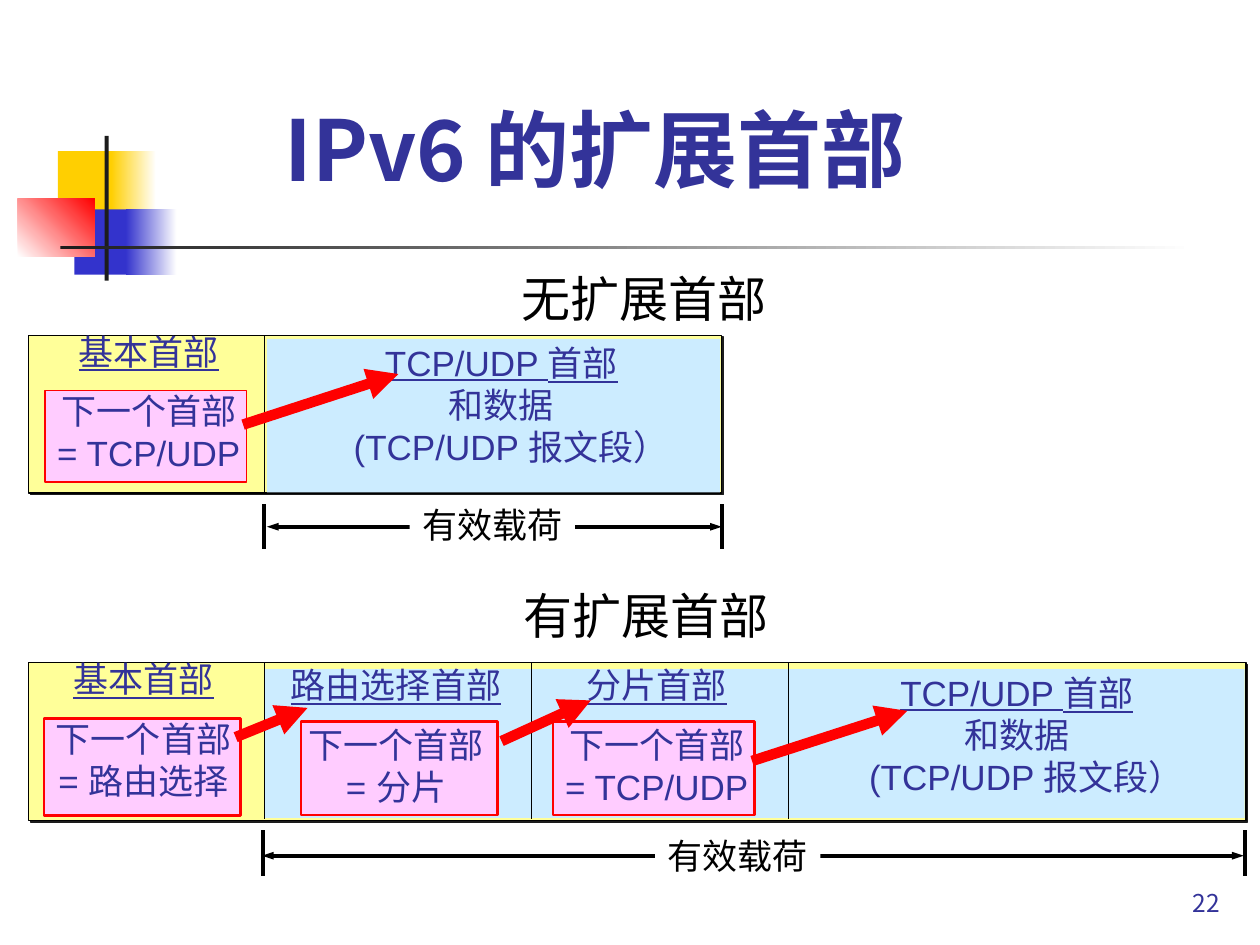
import pptx
import pptx.util
import pptx.dml.color
import pptx.enum.shapes
import pptx.enum.text
import pptx.oxml
import pptx.oxml.ns

Cm, Pt = pptx.util.Cm, pptx.util.Pt
Rgb = pptx.dml.color.RGBColor.from_string
Align, Anchor = pptx.enum.text.PP_ALIGN, pptx.enum.text.MSO_ANCHOR
NS = pptx.oxml.ns.nsdecls("a")
HUES = {"gold": "FFCF01", "blue": "3333CC", "red": "FF0000", "dark": "1C1C1C",
        "white": "FFFFFF", "black": "000000", "navy": "333399",
        "cream": "FFFF99", "pink": "FFCCFF", "sky": "CCECFF"}

deck = pptx.Presentation()
deck.slide_width, deck.slide_height = Cm(25.4), Cm(19.05)
slide = deck.slides.add_slide(deck.slide_layouts[5])
title = slide.shapes.title


def draw(x, y, wide, high, hue, edge=None, thick=0.75, fade=None, turn=0):
    box = slide.shapes.add_shape(pptx.enum.shapes.MSO_SHAPE.RECTANGLE,
                                 Cm(x), Cm(y), Cm(wide), Cm(high))
    box.shadow.inherit = False
    if fade:
        box.fill.gradient()
        box.fill.gradient_angle = turn
        for stop, tone in zip(box.fill.gradient_stops, (hue, fade)):
            stop.color.rgb = Rgb(HUES[tone])
    else:
        box.fill.solid()
        box.fill.fore_color.rgb = Rgb(HUES[hue])
    if edge:
        box.line.color.rgb = Rgb(HUES[edge])
        box.line.width = Pt(thick)
    else:
        box.line.fill.background()
    return box


def write(text, spot, shape=None, size=20, font="Arial", hue="navy", bold=False,
          align=Align.CENTER, anchor=Anchor.TOP, under=False, gap=0, shift=0,
          wrap=False, back=None):
    x, y, wide, high = map(Cm, spot)
    if shape is None:
        shape = slide.shapes.add_textbox(x, y, wide, high)
    shape.left, shape.top, shape.width, shape.height = x, y, wide, high
    if back:
        shape.fill.solid()
        shape.fill.fore_color.rgb = Rgb(HUES[back])
    frame = shape.text_frame
    frame.text = text
    frame.word_wrap = wrap
    frame.vertical_anchor = anchor
    for i, para in enumerate(frame.paragraphs):
        para.alignment = align
        para.space_before = Pt(gap if i == 1 else 0)
        if shift and i == 2:
            para._p.get_or_add_pPr().set("marL", str(Cm(shift)))
        for run in para.runs:
            run.font.size = Pt(size)
            run.font.name = font
            run.font.bold = bold
            run.font.underline = under and i == 0
            run.font.color.rgb = Rgb(HUES[hue])
            run.font._element.find(pptx.oxml.ns.qn("a:latin")).addnext(
                pptx.oxml.parse_xml(f'<a:ea {NS} typeface="Noto Sans CJK JP"/>'))
    return frame


draw(1.17, 3.05, 1.22, 1.32, "gold")
draw(2.24, 3.05, 0.91, 1.32, "gold", fade="white")
draw(1.5, 4.22, 1.17, 1.32, "blue")
draw(2.54, 4.22, 1.02, 1.32, "blue", fade="white")
draw(0.36, 4.01, 1.55, 1.17, "white", fade="red", turn=45)
draw(2.11, 2.74, 0.08, 2.92, "dark")
draw(1.22, 4.95, 22.86, 0.08, "dark", fade="white")

head = write("IPv6 的扩展首部", (2.64, 1.88, 18.7, 2.11), shape=title, size=48,
             font="Noto Sans CJK JP", bold=True, anchor=Anchor.BOTTOM, wrap=True)
head.margin_left = head.margin_right = head.margin_top = head.margin_bottom = 0
write("22", (19.56, 17.35, 5.28, 1.27), size=14, font="Noto Sans CJK JP",
      align=Align.RIGHT, anchor=Anchor.BOTTOM, wrap=True)

for y, wide in ((6.76, 13.97), (13.36, 24.54)):
    base = draw(0.58, y, wide, 3.18, "cream", edge="black")
    shade = base._element.spPr.find(pptx.oxml.ns.qn("a:effectLst"))
    shade.append(pptx.oxml.parse_xml(
        f'<a:outerShdw {NS} dist="17780" dir="2700000" algn="ctr" rotWithShape="0">'
        f'<a:srgbClr val="{HUES["dark"]}"/></a:outerShdw>'))
draw(5.38, 6.83, 9.14, 3.1, "sky")
draw(5.33, 13.49, 19.76, 3, "sky")
draw(0.91, 7.87, 4.06, 1.85, "pink", edge="red")
for x, y, wide, high in ((0.89, 14.48, 3.96, 1.96), (6.07, 14.55, 3.96, 1.88),
                         (11.15, 14.55, 4.06, 1.88)):
    draw(x, y, wide, high, "pink", edge="red", thick=1.5)

for name, goal, x, y, wide in (("基本首部", "TCP/UDP", 0.89, 6.53, 4.22),
                               ("基本首部", "路由选择", 0.84, 13.13, 4.11),
                               ("路由选择首部", "分片", 5.61, 13.26, 4.75),
                               ("分片首部", "TCP/UDP", 11.13, 13.26, 4.22)):
    write(f"{name}\n下一个首部\n= {goal}", (x, y, wide, 3.15), under=True, gap=10)
for x, y in ((6.4, 6.76), (16.79, 13.41)):
    write("TCP/UDP 首部\n和数据\n(TCP/UDP 报文段）", (x, y, 7.42, 2.79),
          under=True, shift=0.39)
for text, x, y in (("无扩展首部", 10.26, 5.28), ("有扩展首部", 10.31, 11.68)):
    write(text, (x, y, 5.44, 1.45), size=28, font="Roboto", hue="black",
          align=Align.LEFT)

rules = [(x, y, x, y + 3.16, "black", 0.75, ())
         for x, y in ((5.33, 6.76), (5.33, 13.36), (10.72, 13.36), (15.9, 13.36))]
rules += [(x, y, x, y + 0.91, "black", 2.25, ())
          for x, y in ((5.33, 10.16), (14.55, 10.16), (5.31, 16.74), (25.1, 16.74))]
rules += [(x, y, end, y, "black", 2.25, ("headEnd", "tailEnd"))
          for x, y, end in ((5.38, 10.62, 14.55), (5.28, 17.25, 25.07))]
rules += [(*ends, "red", 6, ("tailEnd",))
          for ends in ((4.9, 8.56, 8.03, 7.54), (4.75, 14.86, 6.2, 14.27),
                       (10.11, 14.94, 11.91, 14.12), (15.16, 15.34, 18.29, 14.33))]
for x, y, right, low, hue, thick, tips in rules:
    rule = slide.shapes.add_connector(pptx.enum.shapes.MSO_CONNECTOR.STRAIGHT,
                                      Cm(x), Cm(y), Cm(right), Cm(low))
    rule.line.color.rgb = Rgb(HUES[hue])
    rule.line.width = Pt(thick)
    rule._element.spPr.append(pptx.oxml.parse_xml(f"<a:effectLst {NS}/>"))
    broad = "med" if hue == "red" else "sm"
    for tip in tips:
        rule.line._get_or_add_ln().append(pptx.oxml.parse_xml(
            f'<a:{tip} {NS} type="triangle" w="{broad}" len="med"/>'))

for x, y in ((8.26, 10.03), (13.21, 16.69)):
    write("有效载荷", (x, y, 3.33, 1.12), hue="black", back="white")

deck.save("out.pptx")
